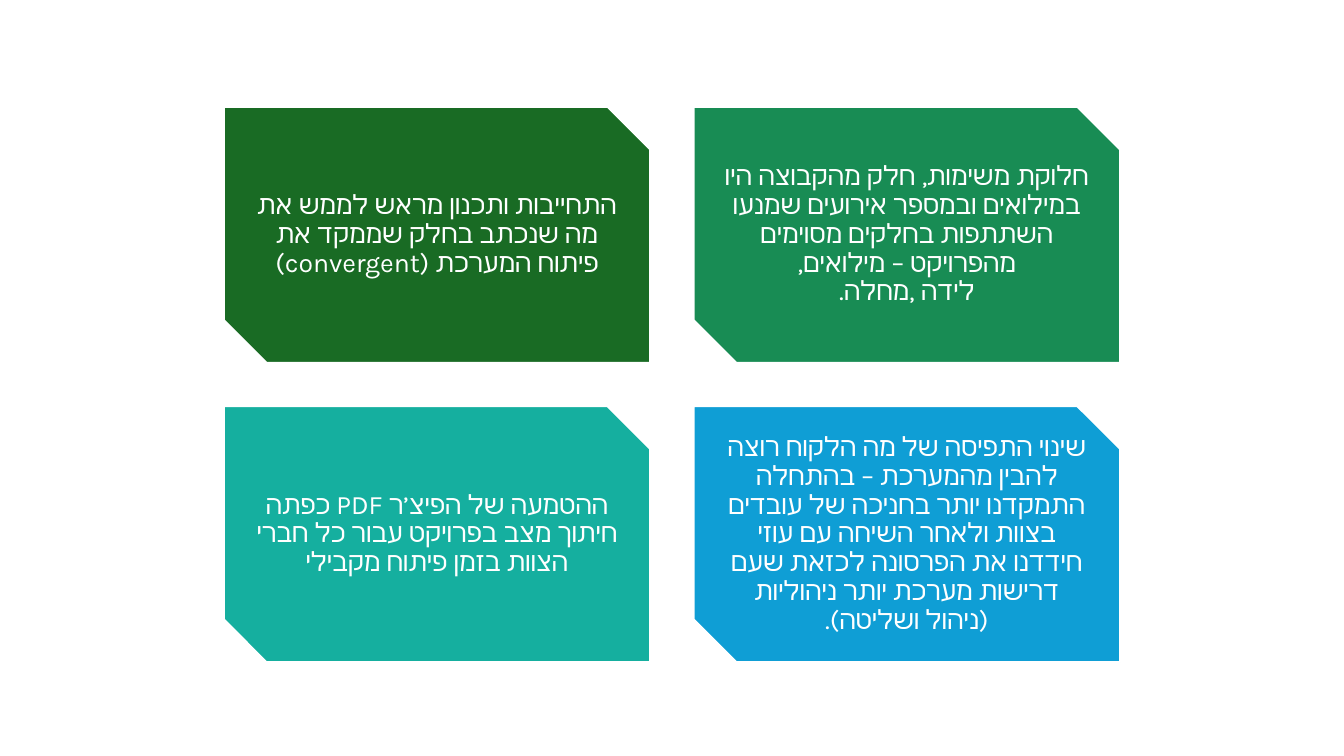
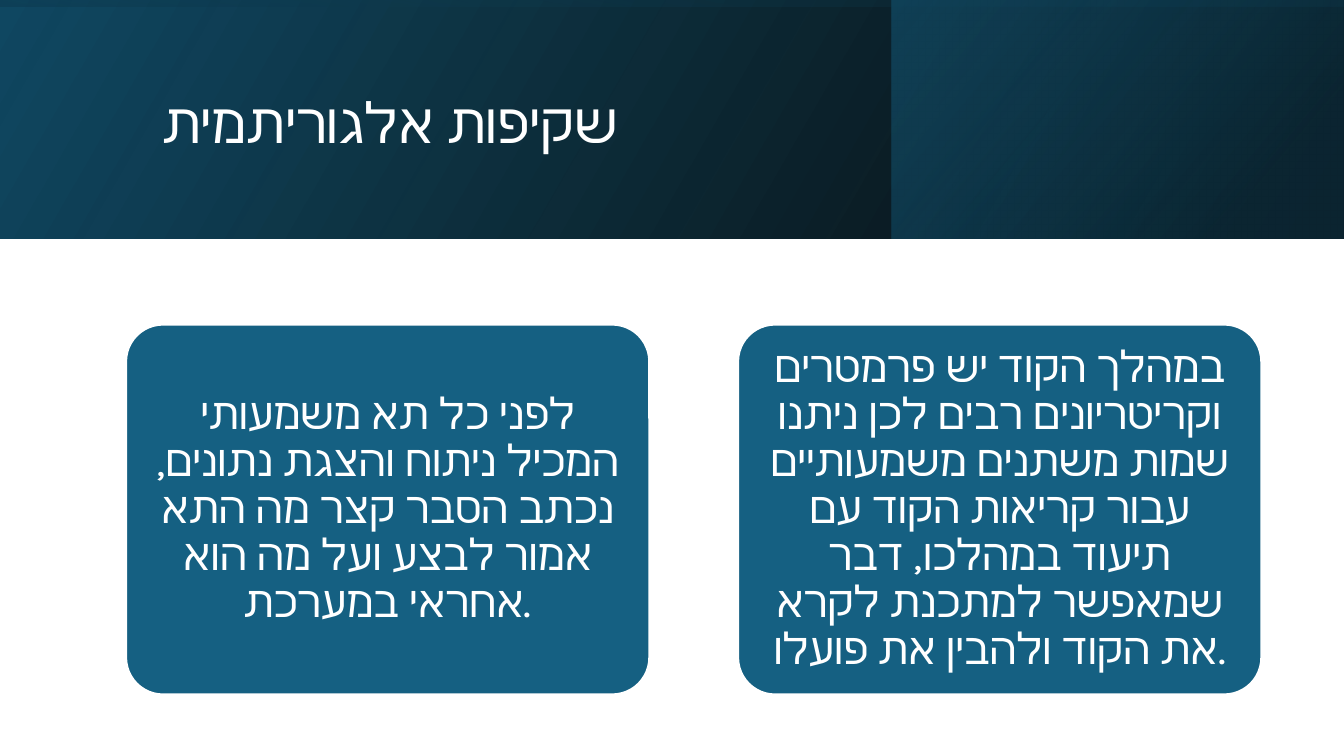
from dataclasses import dataclass

from pptx import Presentation
from pptx.dml.color import RGBColor
from pptx.enum.shapes import MSO_SHAPE as Preset
from pptx.enum.text import MSO_ANCHOR as Anchor, PP_ALIGN as Align
from pptx.oxml.ns import qn
from pptx.oxml.xmlchemy import OxmlElement
from pptx.shapes.autoshape import Shape
from pptx.slide import Slide
from pptx.util import Inches, Pt


@dataclass(frozen=True)
class Theme:
    font: str = "Karla"
    white: str = "FFFFFF"
    black: str = "000000"
    dark_green: str = "196B24"
    green: str = "188C54"
    teal: str = "15AF9F"
    sky: str = "0F9ED5"
    petrol: str = "156082"
    deep_petrol: str = "104862"
    night: str = "0B3041"
    title_size: float = 40
    large_size: float = 31
    small_size: float = 19
    outline: float = 1.5
    line_spacing: float = 0.9


THEME = Theme()
SLIDE_WIDTH, SLIDE_HEIGHT = 13.33, 7.5
BAND_HEIGHT = 2.37


@dataclass(frozen=True)
class Card:
    text: str
    color: str


@dataclass(frozen=True)
class CardGrid:
    preset: Preset
    left: float
    top: float
    width: float
    height: float
    gap: float
    inset: float
    size: float
    right_to_left: bool
    corner: float | None = None
    columns: int = 2


@dataclass(frozen=True)
class GradientStop:
    position: int
    color: str
    opacity: int


@dataclass(frozen=True)
class BandLayer:
    left: float
    top: float
    width: float
    height: float
    angle: int
    stops: tuple[GradientStop, ...]
    rotation: int = 0


COLLABORATION_GRID = CardGrid(Preset.SNIP_2_DIAG_RECTANGLE, 2.22, 1.06, 4.23, 2.54,
                              gap=0.43, inset=0.08, size=THEME.small_size,
                              right_to_left=True)
COLLABORATION_CARDS = (
    Card("התחייבות ותכנון מראש לממש את מה שנכתב בחלק שממקד את "
         "פיתוח המערכת (convergent)", THEME.dark_green),
    Card("חלוקת משימות, חלק מהקבוצה היו במילואים ובמספר אירועים שמנעו "
         "השתתפות בחלקים מסוימים מהפרויקט – מילואים,\vלידה ,מחלה.", THEME.green),
    Card("ההטמעה של הפיצ’ר PDF כפתה חיתוך מצב בפרויקט עבור כל חברי "
         "הצוות בזמן פיתוח מקבילי", THEME.teal),
    Card("שינוי התפיסה של מה הלקוח רוצה להבין מהמערכת – בהתחלה התמקדנו "
         "יותר בחניכה של עובדים בצוות ולאחר השיחה עם עוזי חידדנו את הפרסונה "
         "לכזאת שעם דרישות מערכת יותר ניהוליות (ניהול ושליטה).", THEME.sky),
)

TRANSPARENCY_GRID = CardGrid(Preset.ROUNDED_RECTANGLE, 1.25, 3.22, 5.19, 3.67,
                             gap=0.88, inset=0.13, size=THEME.large_size,
                             right_to_left=False, corner=0.1)
TRANSPARENCY_CARDS = (
    Card("לפני כל תא משמעותי המכיל ניתוח והצגת נתונים, נכתב הסבר קצר "
         "מה התא אמור לבצע ועל מה הוא אחראי במערכת.", THEME.petrol),
    Card("במהלך הקוד יש פרמטרים וקריטריונים רבים לכן ניתנו שמות משתנים "
         "משמעותיים עבור קריאות הקוד עם תיעוד במהלכו, דבר שמאפשר למתכנת "
         "לקרא את הקוד ולהבין את פועלו.", THEME.petrol),
)

# The last layer is an upright rectangle turned to lie across the band
BAND_LAYERS = (
    BandLayer(0, 0, SLIDE_WIDTH, BAND_HEIGHT, 330,
              (GradientStop(0, THEME.black, 96), GradientStop(100, THEME.deep_petrol, 100))),
    BandLayer(8.84, 0, 4.48, BAND_HEIGHT, 320,
              (GradientStop(19, THEME.night, 68), GradientStop(100, THEME.petrol, 48))),
    BandLayer((SLIDE_WIDTH - BAND_HEIGHT) / 2, (BAND_HEIGHT - SLIDE_WIDTH) / 2,
              BAND_HEIGHT, SLIDE_WIDTH, 350,
              (GradientStop(23, THEME.deep_petrol, 16), GradientStop(99, THEME.black, 45)),
              rotation=270),
)


def write_text(shape: Shape, text: str, size: float, alignment: Align,
               right_to_left: bool) -> None:
    """Write one white, vertically centred paragraph."""
    text_frame = shape.text_frame
    text_frame.word_wrap = True
    text_frame.vertical_anchor = Anchor.MIDDLE
    text_frame.text = text
    paragraph = text_frame.paragraphs[0]
    paragraph.alignment = alignment
    paragraph.line_spacing = THEME.line_spacing
    if right_to_left:
        paragraph._p.get_or_add_pPr().set("rtl", "1")
    for run in paragraph.runs:
        run.font.size = Pt(size)
        run.font.name = THEME.font
        run.font.color.rgb = RGBColor.from_string(THEME.white)
        # Hebrew takes its typeface from the complex-script font
        complex_font = OxmlElement("a:cs")
        complex_font.set("typeface", THEME.font)
        run._r.get_or_add_rPr().append(complex_font)


def add_cards(slide: Slide, grid: CardGrid, cards: tuple[Card, ...]) -> None:
    """Lay the cards out row by row."""
    for index, card in enumerate(cards):
        row, column = divmod(index, grid.columns)
        shape = slide.shapes.add_shape(
            grid.preset,
            Inches(grid.left + column * (grid.width + grid.gap)),
            Inches(grid.top + row * (grid.height + grid.gap)),
            Inches(grid.width), Inches(grid.height))
        shape.shadow.inherit = False
        if grid.corner is not None:
            shape.adjustments[0] = grid.corner
        shape.fill.solid()
        shape.fill.fore_color.rgb = RGBColor.from_string(card.color)
        shape.line.color.rgb = RGBColor.from_string(THEME.white)
        shape.line.width = Pt(THEME.outline)
        text_frame = shape.text_frame
        text_frame.margin_left = text_frame.margin_right = Inches(grid.inset)
        text_frame.margin_top = text_frame.margin_bottom = Inches(grid.inset)
        write_text(shape, card.text, grid.size, Align.CENTER, grid.right_to_left)


def set_gradient(shape: Shape, layer: BandLayer) -> None:
    """Fill with a linear gradient whose stops have their own opacity."""
    gradient = OxmlElement("a:gradFill")
    gradient.set("rotWithShape", "1")
    stop_list = OxmlElement("a:gsLst")
    for stop in layer.stops:
        stop_element = OxmlElement("a:gs")
        stop_element.set("pos", str(stop.position * 1000))
        color = OxmlElement("a:srgbClr")
        color.set("val", stop.color)
        alpha = OxmlElement("a:alpha")
        alpha.set("val", str(stop.opacity * 1000))
        color.append(alpha)
        stop_element.append(color)
        stop_list.append(stop_element)
    direction = OxmlElement("a:lin")
    direction.set("ang", str(layer.angle * 60000))
    direction.set("scaled", "0")
    gradient.extend((stop_list, direction))
    shape.fill.background()
    properties = shape._element.spPr
    properties.replace(properties.find(qn("a:noFill")), gradient)


def add_band(slide: Slide) -> None:
    """Stack the mirrored gradient layers of the title band."""
    for layer in BAND_LAYERS:
        shape = slide.shapes.add_shape(Preset.RECTANGLE, Inches(layer.left), Inches(layer.top),
                                       Inches(layer.width), Inches(layer.height))
        shape.shadow.inherit = False
        shape.line.fill.background()
        shape.rotation = layer.rotation
        shape._element.spPr.find(qn("a:xfrm")).set("flipH", "1")
        set_gradient(shape, layer)


def add_title(slide: Slide, text: str) -> None:
    title = slide.shapes.add_textbox(Inches(1.51), Inches(0.38), Inches(10.63), Inches(1.72))
    write_text(title, text, THEME.title_size, Align.LEFT, right_to_left=True)


def main() -> None:
    presentation = Presentation()
    presentation.slide_width = Inches(SLIDE_WIDTH)
    presentation.slide_height = Inches(SLIDE_HEIGHT)
    blank_layout = presentation.slide_layouts[6]

    # Collaboration: four cards
    slide = presentation.slides.add_slide(blank_layout)
    add_cards(slide, COLLABORATION_GRID, COLLABORATION_CARDS)

    # Algorithmic transparency: title band and two cards
    slide = presentation.slides.add_slide(blank_layout)
    add_band(slide)
    add_title(slide, "שקיפות אלגוריתמית")
    add_cards(slide, TRANSPARENCY_GRID, TRANSPARENCY_CARDS)

    presentation.save("out.pptx")


if __name__ == "__main__":
    main()
